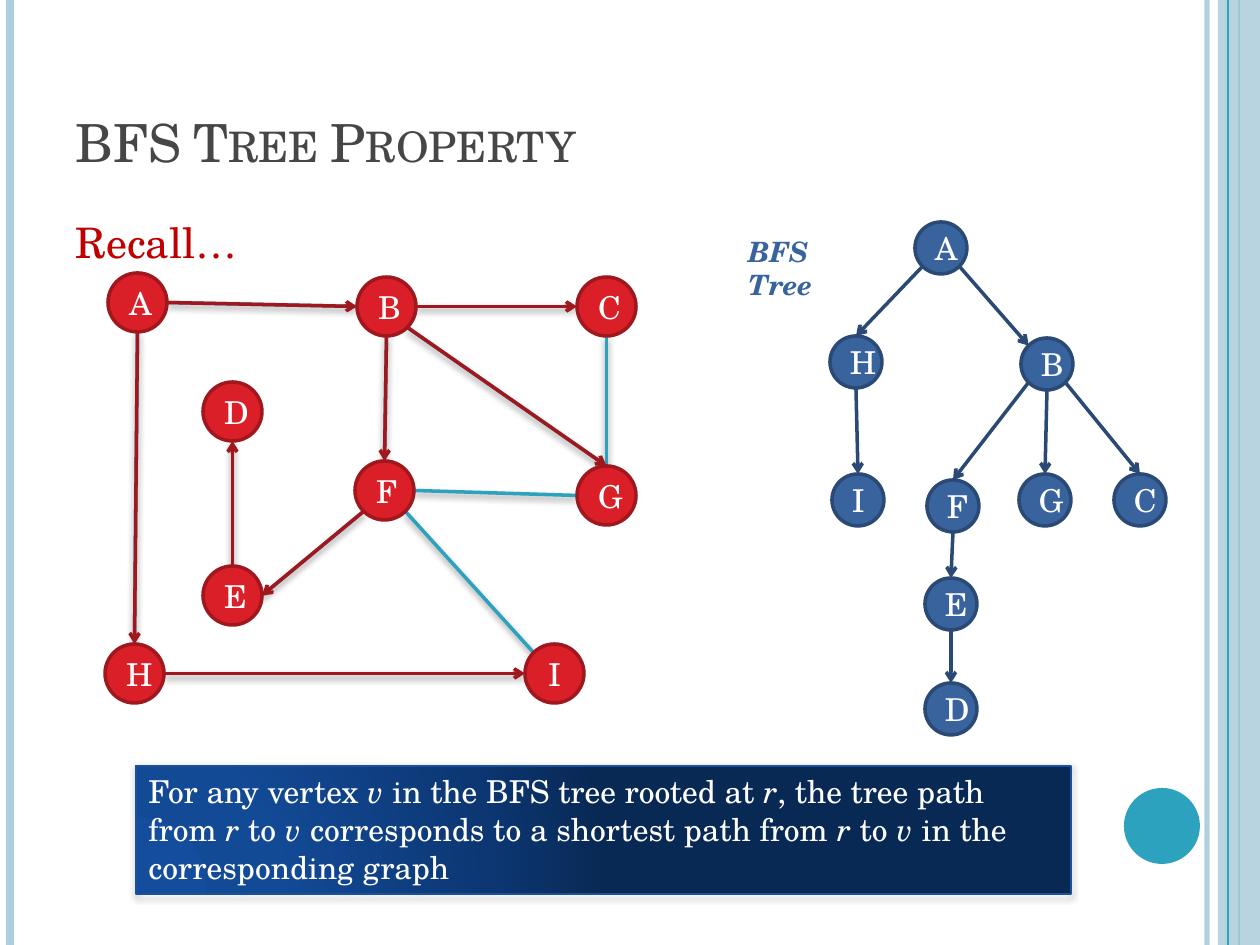
from math import sqrt

from lxml import etree
from pptx import Presentation
from pptx import util as u
from pptx.dml.color import RGBColor
from pptx.enum import shapes as kinds, text as txt
from pptx.oxml import ns, parse_xml

FACE = "TeX Gyre Schola"
RED, MAROON, TEAL, PALE = "DA1F28", "A1171E", "2DA2BF", "ADCEDC"
BLUE, NAVY, WHITE = "39639D", "2A4974", "FFFFFF"
OVAL = kinds.MSO_SHAPE.OVAL
RECT = kinds.MSO_SHAPE.RECTANGLE

DIAG = 1 / sqrt(2)
SIDES = {"n": (0, -1), "s": (0, 1), "e": (1, 0), "w": (-1, 0),
         "nw": (-DIAG, -DIAG), "sw": (-DIAG, DIAG), "se": (DIAG, DIAG)}

GRAPH = {"A": (108, 273), "B": (357, 277), "C": (577, 277), "D": (203, 382),
         "E": (203, 566), "F": (355, 461), "G": (577, 466), "H": (105, 644),
         "I": (525, 644)}
CROSS = ["C.s G.n", "F.e G.w", "F.se I.nw"]
PATHS = ["A.e B.w", "A.s H.n", "B.e C.w", "B.s F.n", "B.se G.n", "F.sw E.e",
         "E.n D.s", "H.e I.w"]

TREE = {"A": (915, 222), "B": (1021, 338), "C": (1114, 474), "D": (925, 683),
        "E": (925, 578), "F": (927, 480), "G": (1019, 474), "H": (830, 336),
        "I": (832, 474)}
LINKS = ["A.sw H.n", "A.se B.nw", "H.s I.n", "B.sw F.n", "B.s G.n",
         "B.se C.n", "F.s E.n", "E.s D.n"]

STOPS = [(0, "144D9B"), (30, "134A96"), (75, "0C3773"), (100, "092955")]
CLAIM = ("For any vertex *v* in the BFS tree rooted at *r*, the tree path \n"
         "from *r* to *v* corresponds to a shortest path from *r* to *v*"
         " in the corresponding graph")


def px(size):
    return u.Emu(round(size * 914400 / 126))


def hue(code):
    return RGBColor.from_string(code)


def sub(node, tag, **attrs):
    return etree.SubElement(node, ns.qn(tag), attrs)


def fade(item, part):
    for clr in item._element.iter(ns.qn("a:srgbClr")):
        sub(clr, "a:alpha", val=str(part * 1000))


def shade(effects, part, dist):
    cast = sub(effects, "a:outerShdw", blurRad=str(u.Pt(4)),
               dist=str(u.Pt(dist)), dir="5400000", rotWithShape="0")
    clr = sub(cast, "a:srgbClr", val="000000")
    sub(clr, "a:alpha", val=str(part * 1000))


def draw_line(shapes, start, end, color, width, arrow=False, cast=False):
    line = shapes.add_connector(kinds.MSO_CONNECTOR.STRAIGHT,
                                *map(px, (*start, *end)))
    line.line.color.rgb = hue(color)
    line.line.width = u.Pt(width)
    if arrow:
        sub(line.line._get_or_add_ln(), "a:tailEnd", type="arrow")
    effects = sub(line._element.spPr, "a:effectLst")
    if cast:
        shade(effects, 40, 2)
    return line


def draw_shape(shapes, kind, box, fill=None, edge=None, width=2):
    shape = shapes.add_shape(kind, *map(px, box))
    shape.shadow.inherit = False
    if fill:
        shape.fill.solid()
        shape.fill.fore_color.rgb = hue(fill)
    if edge:
        shape.line.color.rgb = hue(edge)
        shape.line.width = u.Pt(width)
    else:
        shape.line.fill.background()
    return shape


def write(shape, words, size, color, align=txt.PP_ALIGN.LEFT,
          anchor=txt.MSO_ANCHOR.TOP):
    frame = shape.text_frame
    frame.word_wrap = True
    frame.auto_size = txt.MSO_AUTO_SIZE.NONE
    frame.vertical_anchor = anchor
    para = frame.paragraphs[0]
    para.alignment = align
    para.font.name = FACE
    para.font.size = u.Pt(size)
    para.font.color.rgb = hue(color)
    for row, line in enumerate(words.split("\n")):
        if row:
            para.add_line_break()
        for spot, piece in enumerate(line.split("*")):
            run = para.add_run()
            run.text = piece
            if spot % 2:
                run.font.italic = True
    return para


def draw_links(shapes, nodes, size, links, color, arrow=True, cast=False):
    def point(end):
        name, side = end.split(".")
        return [at + size / 2 * (1 + way)
                for at, way in zip(nodes[name], SIDES[side])]

    for link in links:
        start, end = map(point, link.split())
        draw_line(shapes, start, end, color, 2, arrow, cast)


def draw_nodes(shapes, nodes, size, fill, edge):
    for name, (left, top) in nodes.items():
        node = draw_shape(shapes, OVAL, (left, top, size, size), fill, edge)
        write(node, name, 18, WHITE, txt.PP_ALIGN.CENTER,
              txt.MSO_ANCHOR.MIDDLE)


def draw_frame(shapes):
    def rule(x, color, width):
        return draw_line(shapes, (x, 0), (x, 945), color, width)

    fade(rule(1207, PALE, 3), 93)
    rule(10, PALE, 4.5)
    rule(1239, TEAL, 1.5)
    fade(draw_shape(shapes, RECT, (1218, 0, 42, 945), PALE), 87)
    rule(1228, TEAL, 0.75)
    draw_shape(shapes, OVAL, (1124, 788, 76, 76), TEAL)


def draw_title(title):
    title.left, title.top, title.width, title.height = map(
        px, (63, 38, 1029, 141))
    para = write(title, "BFS Tree Property", 30, "464646",
                 anchor=txt.MSO_ANCHOR.BOTTOM)
    para.font._element.set("cap", "small")


def draw_label(shapes, box, words, size, color):
    return write(shapes.add_textbox(*map(px, box)), words, size, color)


def draw_claim(shapes):
    panel = draw_shape(shapes, RECT, (136, 766, 935, 128), None, "1B519C", 1)
    stops = "".join(f'<a:gs pos="{pos * 1000}"><a:srgbClr val="{code}"/></a:gs>'
                    for pos, code in STOPS)
    props = panel._element.spPr
    props.insert(2, parse_xml(
        f'<a:gradFill {ns.nsdecls("a")}><a:gsLst>{stops}</a:gsLst>'
        '<a:path path="circle"><a:fillToRect l="5000" t="100000" r="120000" '
        'b="10000"/></a:path></a:gradFill>'))
    shade(props.find(ns.qn("a:effectLst")), 42, 1.6)
    write(panel, CLAIM, 18, WHITE)


def main():
    deck = Presentation()
    deck.slide_width, deck.slide_height = px(1260), px(945)
    slide = deck.slides.add_slide(deck.slide_layouts[5])
    shapes = slide.shapes
    draw_frame(shapes)
    draw_title(shapes.title)
    recall = draw_label(shapes, (63, 210, 1029, 73), "Recall…", 24, "C00000")
    recall.space_before = u.Pt(6)

    base = shapes.add_group_shape().shapes
    draw_links(base, GRAPH, 59, CROSS + PATHS, TEAL, False, True)
    draw_links(shapes, GRAPH, 59, PATHS, MAROON)
    draw_nodes(shapes, GRAPH, 59, RED, MAROON)

    tree = shapes.add_group_shape().shapes
    draw_links(tree, TREE, 52, LINKS, NAVY)
    draw_nodes(tree, TREE, 52, BLUE, NAVY)
    label = draw_label(tree, (736, 228, 150, 47), "BFS Tree", 16, BLUE)
    label.font.bold = label.font.italic = True

    draw_claim(shapes)
    deck.save("out.pptx")


if __name__ == "__main__":
    main()
